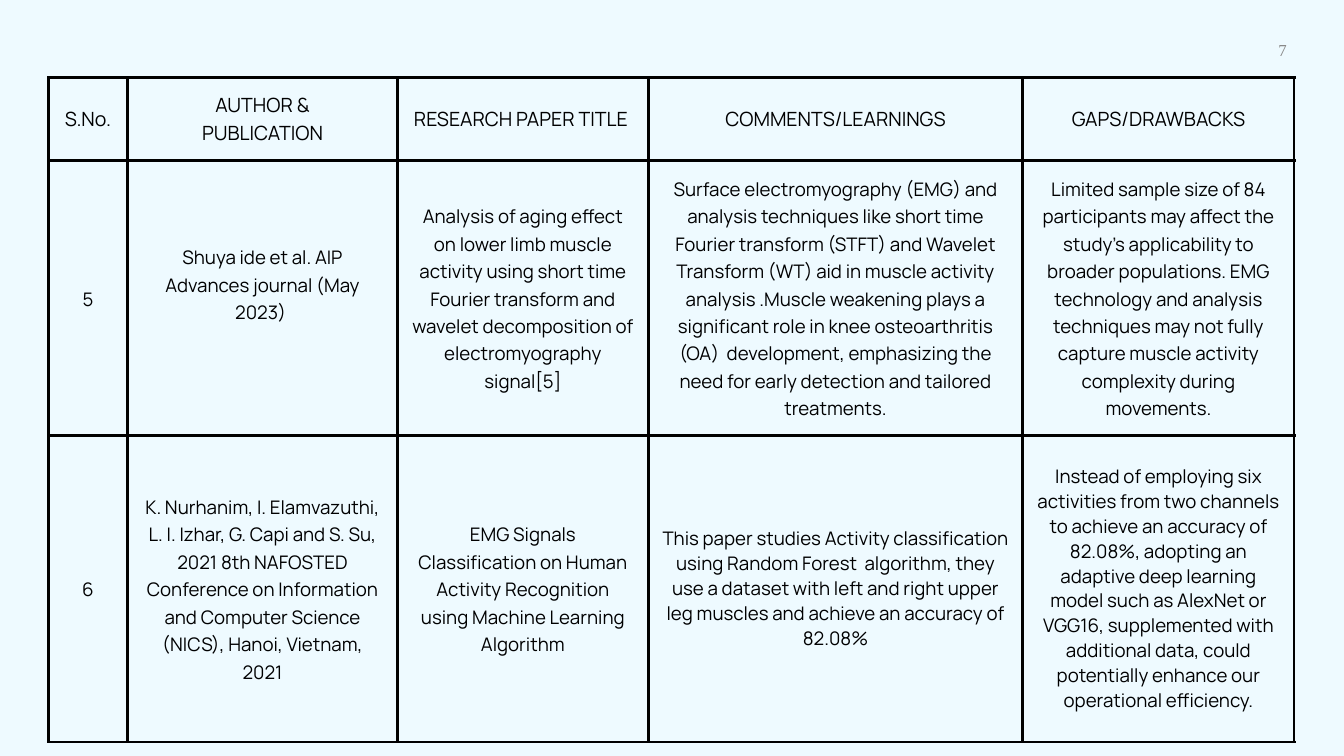
from lxml import etree
from pptx import Presentation
from pptx.dml.color import RGBColor
from pptx.enum import text
from pptx.oxml import ns
from pptx.util import Pt

BACKGROUND = RGBColor(0xEE, 0xFA, 0xFF)
INK = RGBColor(0, 0, 0)
GREY = RGBColor(0x89, 0x89, 0x89)

# Content: one list per table row, a line feed starts a new paragraph
ROWS = [
    ["S.No.", "AUTHOR &\nPUBLICATION", "RESEARCH PAPER TITLE ",
     "COMMENTS/LEARNINGS", "GAPS/DRAWBACKS"],
    ["5",
     "Shuya ide et al. AIP Advances journal (May 2023) ",
     "Analysis of aging effect on lower limb muscle activity using short time "
     "Fourier transform and wavelet decomposition of electromyography signal[5]",
     "Surface electromyography (EMG) and analysis techniques like short time "
     "Fourier transform (STFT) and Wavelet Transform (WT) aid in muscle activity "
     "analysis .Muscle weakening plays a significant role in knee osteoarthritis "
     "(OA)  development, emphasizing the need for early detection and tailored "
     "treatments.",
     "Limited sample size of 84 participants may affect the study's applicability "
     "to broader populations. EMG technology and analysis techniques may not fully "
     "capture muscle activity complexity during movements."],
    ["6",
     "K. Nurhanim, I. Elamvazuthi, L. I. Izhar, G. Capi and S. Su, 2021 8th "
     "NAFOSTED Conference on Information and Computer Science (NICS), Hanoi, "
     "Vietnam, 2021",
     "EMG Signals Classification on Human Activity Recognition using Machine "
     "Learning Algorithm",
     "This paper studies Activity classification using Random Forest  algorithm, "
     "they use a dataset with left and right upper leg muscles and achieve an "
     "accuracy of 82.08%",
     "Instead of employing six activities from two channels to achieve an accuracy "
     "of 82.08%, adopting an adaptive deep learning model such as AlexNet or VGG16, "
     "supplemented with additional data, could potentially enhance our operational "
     "efficiency."],
]
PAGE_NUMBER = "7"

# Layout
COLUMN_WIDTHS = [85, 289, 269, 401, 291]
ROW_HEIGHTS = [89, 295, 328]
TABLE_LEFT, TABLE_TOP = 51.8, 82.8
MARGIN = 15
LEADING = 29.4
TIGHT_LEADING = 26.6
TIGHT_CELLS = {(2, 3), (2, 4)}
RAISED_CELL = (1, 1)  # sits half a line above the middle


def format_paragraph(para, font, size, color, leading, align):
    para.alignment = align
    para.line_spacing = Pt(leading)
    para.font.name = font
    para.font.size = Pt(size)
    para.font.color.rgb = color


def add_borders(cell, color, width):
    properties = cell._tc.get_or_add_tcPr()
    for position, side in enumerate(("lnL", "lnR", "lnT", "lnB")):
        line = etree.Element(ns.qn("a:" + side), w=str(Pt(width)))
        fill = etree.SubElement(line, ns.qn("a:solidFill"))
        etree.SubElement(fill, ns.qn("a:srgbClr"), val=str(color))
        properties.insert(position, line)


def fill_cell(cell, words, size, leading, raise_by):
    cell.fill.background()
    cell.vertical_anchor = text.MSO_ANCHOR.MIDDLE
    cell.margin_left = cell.margin_right = cell.margin_top = Pt(MARGIN)
    cell.margin_bottom = Pt(MARGIN + raise_by)
    cell.text_frame.text = words
    for para in cell.text_frame.paragraphs:
        format_paragraph(para, "Manrope", size, INK, leading, text.PP_ALIGN.CENTER)
    add_borders(cell, INK, 3)


def add_review_table(page):
    table = page.shapes.add_table(
        len(ROWS), len(COLUMN_WIDTHS), Pt(TABLE_LEFT), Pt(TABLE_TOP),
        Pt(sum(COLUMN_WIDTHS)), Pt(sum(ROW_HEIGHTS))).table
    table.first_row = table.horz_banding = False
    for column, width in zip(table.columns, COLUMN_WIDTHS):
        column.width = Pt(width)
    for row, height in zip(table.rows, ROW_HEIGHTS):
        row.height = Pt(height)
    for r, row in enumerate(ROWS):
        for c, words in enumerate(row):
            fill_cell(table.cell(r, c), words,
                      size=21 if r == 0 else 20,
                      leading=TIGHT_LEADING if (r, c) in TIGHT_CELLS else LEADING,
                      raise_by=LEADING if (r, c) == RAISED_CELL else 0)


def add_page_number(page):
    box = page.shapes.add_textbox(Pt(1225.4), Pt(42.5), Pt(153.4), Pt(23.8))
    frame = box.text_frame
    frame.word_wrap = True
    frame.auto_size = text.MSO_AUTO_SIZE.SHAPE_TO_FIT_TEXT
    frame.margin_left = frame.margin_right = frame.margin_top = frame.margin_bottom = 0
    frame.text = PAGE_NUMBER
    format_paragraph(frame.paragraphs[0], "Times New Roman", 18, GREY, 21.6,
                     text.PP_ALIGN.RIGHT)


def main():
    deck = Presentation()
    deck.slide_width, deck.slide_height = Pt(1440), Pt(810)
    page = deck.slides.add_slide(deck.slide_layouts[6])
    page.background.fill.solid()
    page.background.fill.fore_color.rgb = BACKGROUND
    add_review_table(page)
    add_page_number(page)
    deck.save("out.pptx")


if __name__ == "__main__":
    main()
